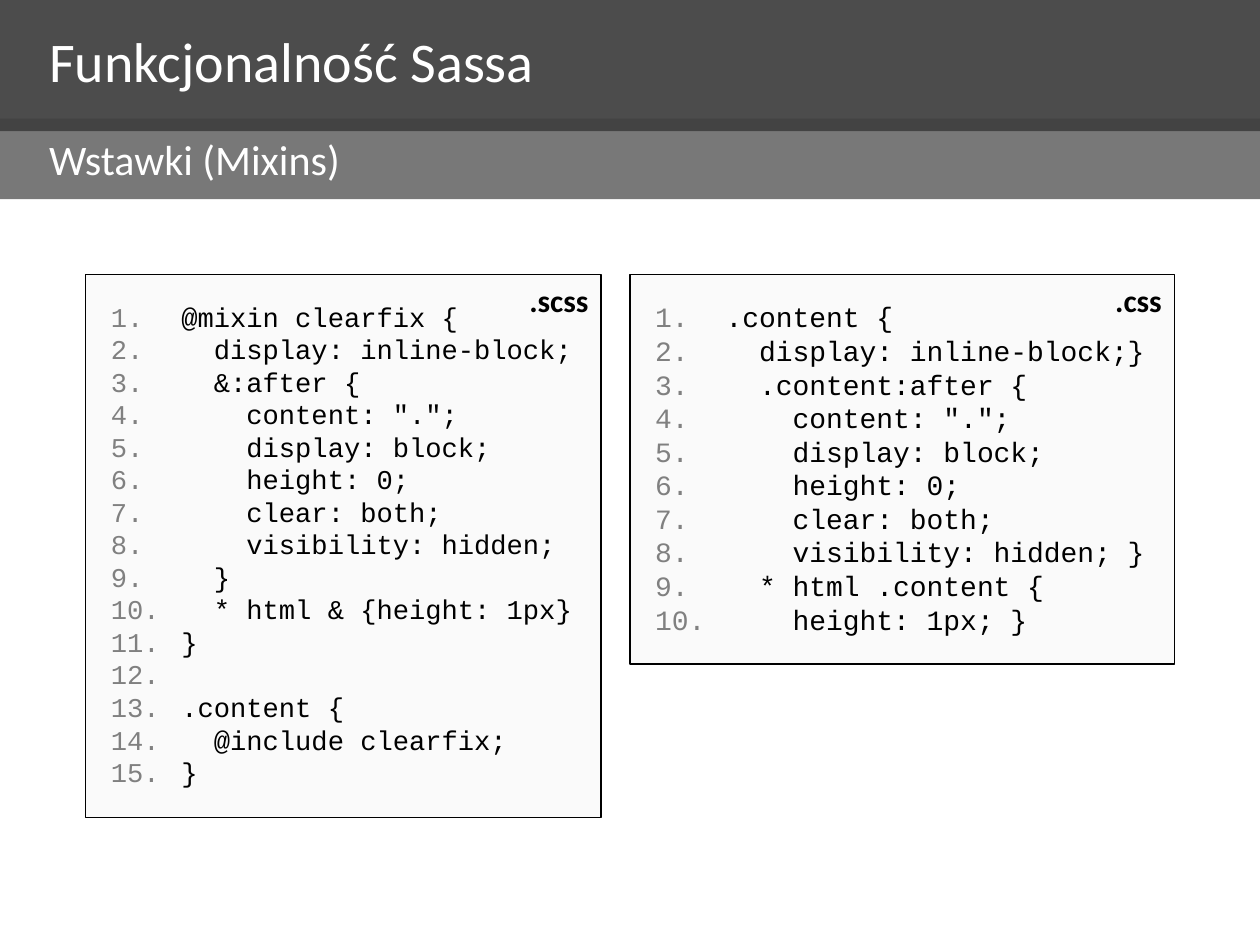
"""Build the slide on Sass mixins: two heading bands and two numbered code listings."""
from dataclasses import dataclass

from lxml import etree
from pptx import Presentation
from pptx.dml.color import RGBColor
from pptx.enum.shapes import MSO_SHAPE
from pptx.enum.text import MSO_ANCHOR, MSO_AUTO_SIZE, PP_ALIGN
from pptx.oxml.ns import qn
from pptx.shapes.autoshape import Shape
from pptx.slide import Slide
from pptx.text.text import TextFrame, _Paragraph
from pptx.util import Inches, Pt

RECTANGLE = MSO_SHAPE.RECTANGLE
TOP, MIDDLE = MSO_ANCHOR.TOP, MSO_ANCHOR.MIDDLE
GROW = MSO_AUTO_SIZE.SHAPE_TO_FIT_TEXT
LEFT, RIGHT = PP_ALIGN.LEFT, PP_ALIGN.RIGHT


@dataclass(frozen=True)
class Theme:
    """Colours, fonts and type sizes of the slide."""
    title_band: str = "000000"
    subtitle_band: str = "404040"
    band_opacity: int = 70
    band_text: str = "FFFFFF"
    code_fill: str = "FAFAFA"
    ink: str = "000000"
    line_number: str = "808080"
    heading_font: str = "Calibri"
    code_font: str = "Courier New"
    title_size: float = 32
    subtitle_size: float = 24
    label_size: float = 18
    outline: float = 0.75


@dataclass(frozen=True)
class Band:
    """A full-width heading band."""
    text: str
    top: float
    height: float
    fill: str
    size: float
    inset: float


@dataclass(frozen=True)
class Listing:
    """A code box with its file type in the top right corner."""
    label: str
    left: float
    width: float
    height: float
    size: float
    code: str


THEME = Theme()
SLIDE_WIDTH, SLIDE_HEIGHT = 10, 7.5
LISTING_TOP, LISTING_INSET, NUMBER_INDENT = 2.18, 0.2, 0.56
LABEL_WIDTH, LABEL_HEIGHT = 1.26, 0.4
BAND_SIDE = 0.39

TITLE = Band("Funkcjonalność Sassa", 0.01, 0.93, THEME.title_band, THEME.title_size, 0.2)
SUBTITLE = Band("Wstawki (Mixins)", 0.94, 0.64, THEME.subtitle_band, THEME.subtitle_size, 0.12)

SCSS = """@mixin clearfix {
  display: inline-block;
  &:after {
    content: ".";
    display: block;
    height: 0;
    clear: both;
    visibility: hidden;
  }
  * html & {height: 1px}
}
 
.content {
  @include clearfix;
}"""

CSS = """.content {
  display: inline-block;}
  .content:after {
    content: ".";
    display: block;
    height: 0;
    clear: both;
    visibility: hidden; }
  * html .content {
    height: 1px; }"""

LISTINGS = (
    Listing(".scss", 0.68, 4.09, 4.31, 15.5, SCSS),
    Listing(".css", 5, 4.32, 3.09, 16, CSS),
)


def apply_format(target: object, values: dict) -> None:
    """Set each named attribute on the target."""
    for name, value in values.items():
        setattr(target, name, value)


def format_frame(frame: TextFrame, anchor: MSO_ANCHOR, side: float, vertical: float) -> None:
    """Set wrapping, growth, anchor and insets of a text frame."""
    apply_format(frame, {
        "word_wrap": True, "auto_size": GROW, "vertical_anchor": anchor,
        "margin_left": Inches(side), "margin_right": Inches(side),
        "margin_top": Inches(vertical), "margin_bottom": Inches(vertical),
    })


def write_span(para: _Paragraph, text: str, align: PP_ALIGN, font: str,
               size: float, color: str, bold: bool = False) -> None:
    """Write one formatted span into a paragraph."""
    para.alignment = align
    span = para.add_run()
    span.text = text
    apply_format(span.font, {"name": font, "size": Pt(size), "bold": bold})
    span.font.color.rgb = RGBColor.from_string(color)


def number_line(para: _Paragraph) -> None:
    """Give a paragraph a grey automatic number and a hanging indent."""
    properties = para._p.get_or_add_pPr()
    indent = Inches(NUMBER_INDENT)
    properties.set("marL", str(indent))
    properties.set("indent", str(-indent))
    color = etree.SubElement(properties, qn("a:buClr"))
    etree.SubElement(color, qn("a:srgbClr"), val=THEME.line_number)
    etree.SubElement(properties, qn("a:buFont"), typeface=THEME.code_font)
    etree.SubElement(properties, qn("a:buAutoNum"), type="arabicPeriod")


def draw_band(shape: Shape, band: Band) -> None:
    """Place and format a shape as a translucent heading band."""
    apply_format(shape, {
        "left": Inches(0), "top": Inches(band.top),
        "width": Inches(SLIDE_WIDTH), "height": Inches(band.height),
    })
    shape.fill.solid()
    shape.fill.fore_color.rgb = RGBColor.from_string(band.fill)
    color = shape.fill._xPr.find(qn("a:solidFill"))[0]
    etree.SubElement(color, qn("a:alpha"), val=str(THEME.band_opacity * 1000))
    shape.line.fill.background()
    format_frame(shape.text_frame, MIDDLE, BAND_SIDE, band.inset)
    write_span(shape.text_frame.paragraphs[0], band.text, LEFT,
               THEME.heading_font, band.size, THEME.band_text)


def draw_listing(page: Slide, listing: Listing) -> None:
    """Draw a numbered code box and its file type label."""
    box = page.shapes.add_shape(RECTANGLE, Inches(listing.left), Inches(LISTING_TOP),
                                Inches(listing.width), Inches(listing.height))
    box.shadow.inherit = False
    box.fill.solid()
    box.fill.fore_color.rgb = RGBColor.from_string(THEME.code_fill)
    box.line.color.rgb = RGBColor.from_string(THEME.ink)
    box.line.width = Pt(THEME.outline)
    frame = box.text_frame
    format_frame(frame, TOP, LISTING_INSET, LISTING_INSET)
    for index, line in enumerate(listing.code.split("\n")):
        para = frame.add_paragraph() if index else frame.paragraphs[0]
        number_line(para)
        write_span(para, line, LEFT, THEME.code_font, listing.size, THEME.ink)

    label_left = listing.left + listing.width - LABEL_WIDTH
    label = page.shapes.add_textbox(Inches(label_left), Inches(LISTING_TOP),
                                    Inches(LABEL_WIDTH), Inches(LABEL_HEIGHT))
    format_frame(label.text_frame, TOP, 0.1, 0.05)
    write_span(label.text_frame.paragraphs[0], listing.label, RIGHT,
               THEME.heading_font, THEME.label_size, THEME.ink, bold=True)


def main() -> None:
    """Build and save the deck."""
    deck = Presentation()
    deck.slide_width, deck.slide_height = Inches(SLIDE_WIDTH), Inches(SLIDE_HEIGHT)
    page = deck.slides.add_slide(deck.slide_layouts[5])
    for listing in LISTINGS:
        draw_listing(page, listing)
    draw_band(page.shapes.title, TITLE)
    subtitle = page.shapes.add_shape(RECTANGLE, 0, 0, 0, 0)
    subtitle.shadow.inherit = False
    draw_band(subtitle, SUBTITLE)
    deck.save("out.pptx")


if __name__ == "__main__":
    main()
